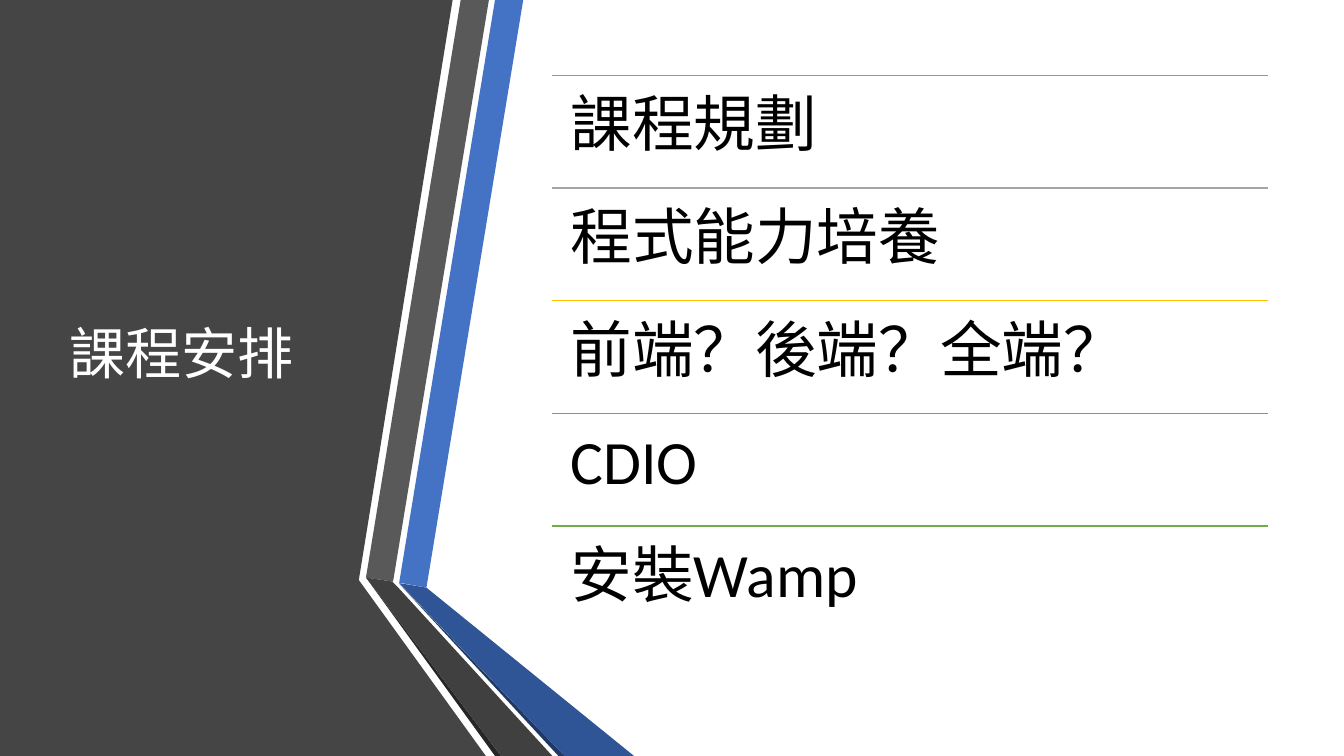
from lxml.etree import SubElement
from pptx import Presentation
from pptx.dml.color import RGBColor
from pptx.enum.shapes import MSO_CONNECTOR
from pptx.enum.text import MSO_ANCHOR, MSO_AUTO_SIZE, PP_ALIGN
from pptx.oxml.ns import qn
from pptx.util import Inches, Pt

WHITE = RGBColor(0xFF, 0xFF, 0xFF)
BLACK = RGBColor(0x00, 0x00, 0x00)
PANEL_GREY = RGBColor(0x45, 0x45, 0x45)
RIBBON_GREY = RGBColor(0x59, 0x59, 0x59)
FOLD_GREY = RGBColor(0x40, 0x40, 0x40)
EDGE_GREY = RGBColor(0x26, 0x26, 0x26)
RIBBON_BLUE = RGBColor(0x44, 0x72, 0xC4)
FOLD_BLUE = RGBColor(0x2F, 0x55, 0x97)
EDGE_BLUE = RGBColor(0x20, 0x38, 0x64)
ORANGE = RGBColor(0xED, 0x7D, 0x31)
SILVER = RGBColor(0xA5, 0xA5, 0xA5)
GOLD = RGBColor(0xFF, 0xC0, 0x00)
SKY = RGBColor(0x5B, 0x9B, 0xD5)
GREEN = RGBColor(0x70, 0xAD, 0x47)

# Outlines as percentages of slide width and height, from back to front
PANEL_AND_RIBBONS = [
    (PANEL_GREY, [(0, 0), (33.68, 0), (26.7, 76.73), (36.15, 100), (0, 100)]),
    (RIBBON_BLUE, [(29.7, 77.07), (31.73, 77.73), (38.93, 0), (36.83, 0)]),
    (RIBBON_GREY, [(36.38, 0), (34.28, 0), (27.23, 76.4), (29.25, 76.93)]),
    (EDGE_GREY, [(27.23, 76.4), (36.83, 100), (37.28, 100)]),
    (EDGE_BLUE, [(29.7, 77.2), (41.55, 100), (42, 100)]),
    (FOLD_BLUE, [(29.7, 77.13), (42, 100), (47.18, 100), (31.73, 77.73)]),
    (FOLD_GREY, [(41.1, 100), (29.63, 77.73), (29.18, 76.93), (27.23, 76.4),
                 (37.28, 100)]),
]

TOPICS = [
    ("課程規劃", ORANGE),
    ("程式能力培養", SILVER),
    ("前端？後端？全端？", GOLD),
    ("CDIO", SKY),
    ("安裝Wamp", GREEN),
]
LIST_LEFT, LIST_TOP, LIST_WIDTH, TOPIC_HEIGHT = 41.1, 10, 53.25, 14.89


def write(frame, text, *, size, color, anchor, inset=None):
    frame.word_wrap = True
    frame.auto_size = MSO_AUTO_SIZE.NONE
    frame.vertical_anchor = anchor
    if inset is not None:
        frame.margin_left = frame.margin_right = inset
        frame.margin_top = frame.margin_bottom = inset
    frame.text = text
    paragraph = frame.paragraphs[0]
    paragraph.alignment = PP_ALIGN.LEFT
    paragraph.line_spacing = 0.9
    font = paragraph.runs[0].font
    font.name, font.size, font.color.rgb = "Calibri", Pt(size), color


class AgendaSlide:
    """Places elements by percentages of the slide's width and height."""

    def __init__(self, deck):
        self.width, self.height = deck.slide_width, deck.slide_height
        self.slide = deck.slides.add_slide(deck.slide_layouts[5])
        self.shapes = self.slide.shapes

    def point(self, x, y):
        return round(self.width * x / 100), round(self.height * y / 100)

    def outline(self, color, corners):
        start, *rest = [self.point(*corner) for corner in corners]
        builder = self.shapes.build_freeform(*start)
        builder.add_line_segments(rest)
        shape = builder.convert_to_shape()
        shape.shadow.inherit = False
        shape.fill.solid()
        shape.fill.fore_color.rgb = color
        shape.line.fill.background()

    def title(self, text, left, top, width, height):
        title = self.shapes.title
        title.left, title.top = self.point(left, top)
        title.width, title.height = self.point(width, height)
        write(title.text_frame, text, size=40, color=WHITE, anchor=MSO_ANCHOR.MIDDLE)
        # Bring the title in front of the panel
        self.shapes._spTree.append(title._element)

    def rule(self, left, top, width, color):
        rule = self.shapes.add_connector(
            MSO_CONNECTOR.STRAIGHT, *self.point(left, top), *self.point(left + width, top))
        rule.line.color.rgb = color
        rule.line.width = Pt(1)
        SubElement(rule._element.spPr, qn("a:effectLst"))

    def topic(self, text, left, top, width, height):
        box = self.shapes.add_textbox(*self.point(left, top), *self.point(width, height))
        write(box.text_frame, text, size=44, color=BLACK,
              anchor=MSO_ANCHOR.TOP, inset=Inches(0.18))


def main():
    deck = Presentation()
    deck.slide_width, deck.slide_height = Inches(13.33), Inches(7.5)
    agenda = AgendaSlide(deck)
    for color, corners in PANEL_AND_RIBBONS:
        agenda.outline(color, corners)
    agenda.title("課程安排", 4.43, 10, 22.8, 74.4)
    for row, (topic, color) in enumerate(TOPICS):
        top = LIST_TOP + row * TOPIC_HEIGHT
        agenda.rule(LIST_LEFT, top, LIST_WIDTH, color)
        agenda.topic(topic, LIST_LEFT, top, LIST_WIDTH, TOPIC_HEIGHT)
    deck.save("out.pptx")


if __name__ == "__main__":
    main()
